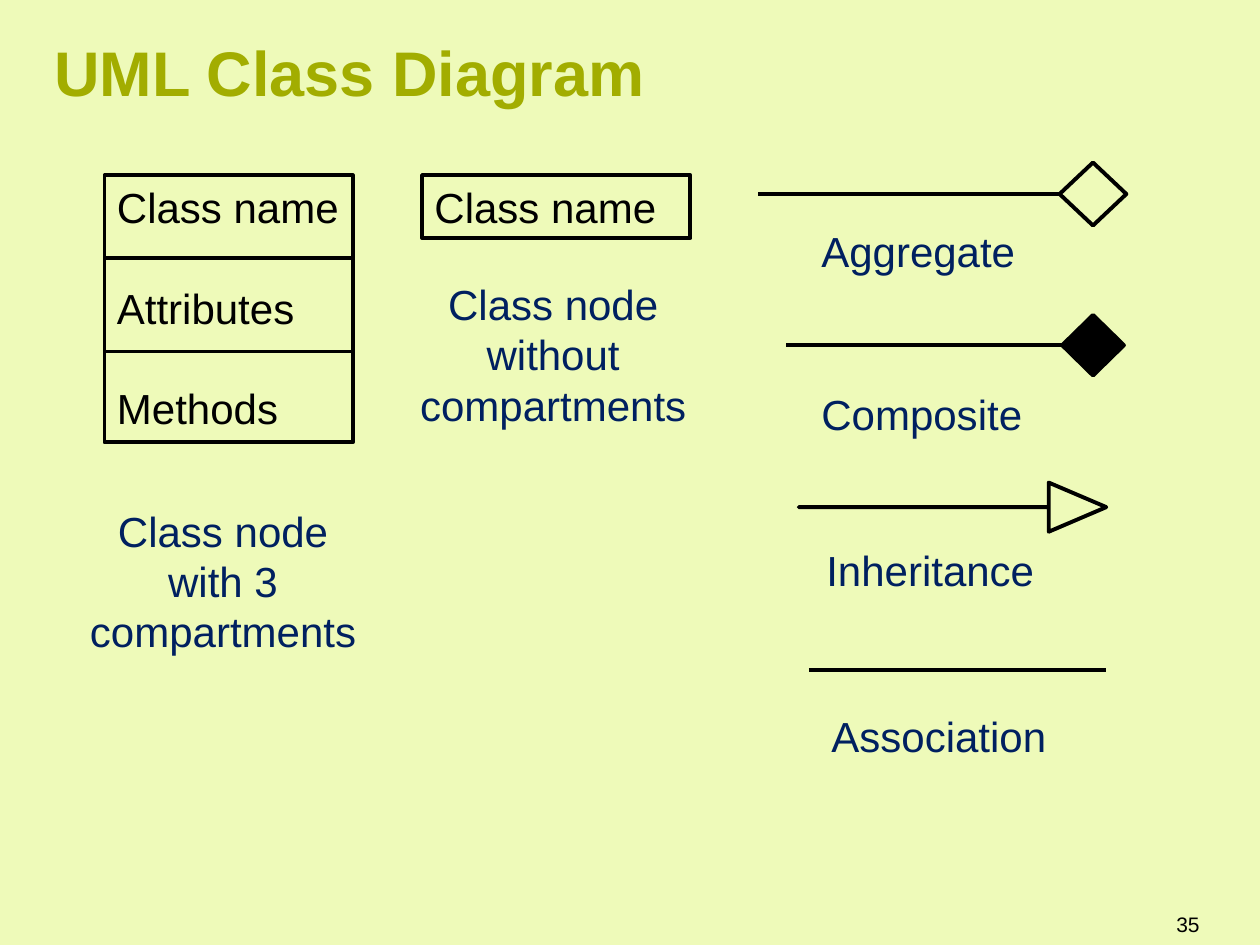
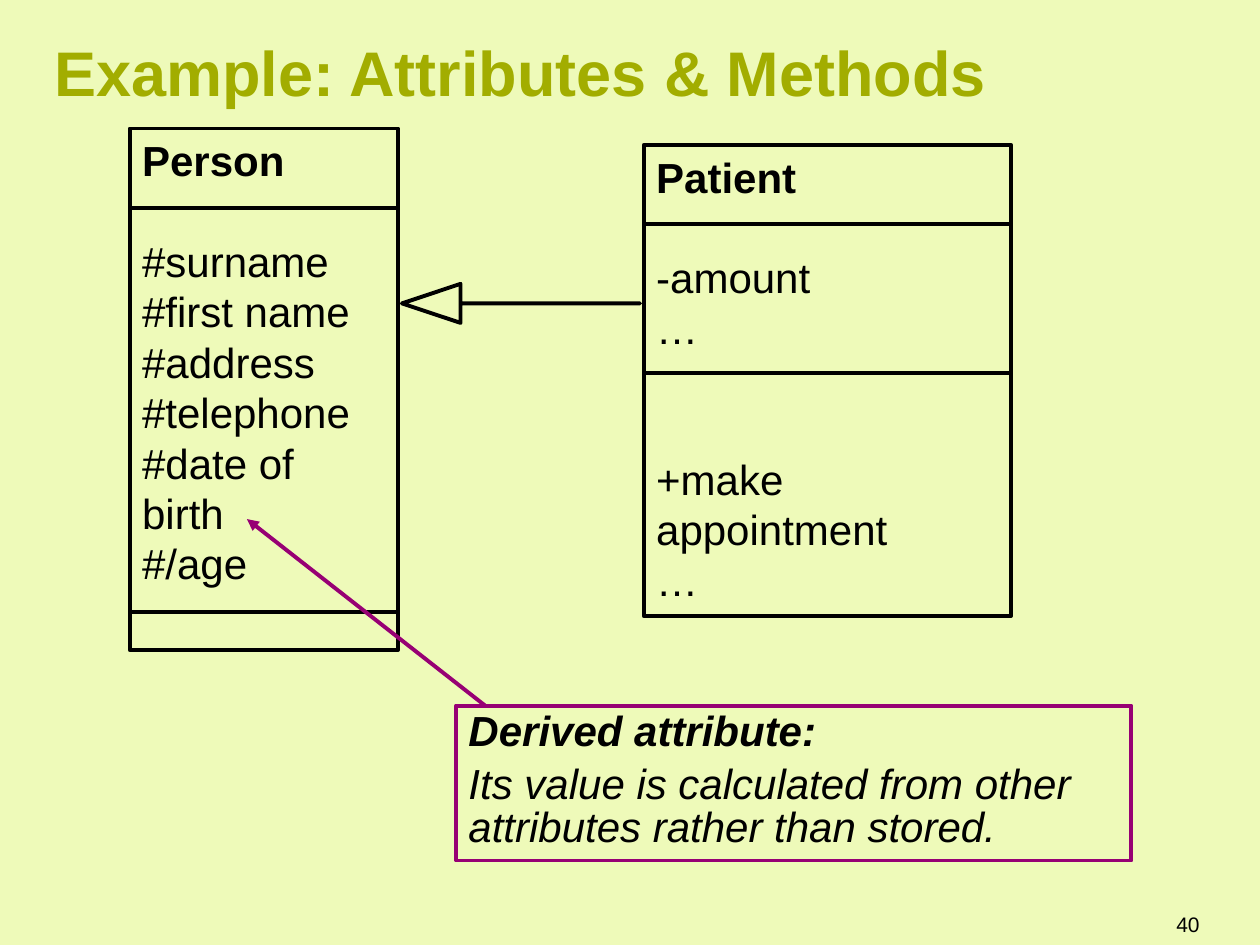
from dataclasses import dataclass

from pptx import Presentation
from pptx.dml.color import RGBColor
from pptx.enum.shapes import MSO_CONNECTOR as Connector, MSO_SHAPE as Preset
from pptx.enum.text import MSO_ANCHOR as Anchor, PP_ALIGN as Align
from pptx.oxml.ns import qn
from pptx.util import Pt
from lxml.etree import SubElement

BACKGROUND = RGBColor(0xEE, 0xFA, 0xB9)
TITLE_GREEN = RGBColor(0xA2, 0xAD, 0x00)
LABEL_BLUE = RGBColor(0x00, 0x20, 0x60)
CALLOUT_PURPLE = RGBColor(0x97, 0x00, 0x74)
BLACK = RGBColor(0x00, 0x00, 0x00)

FONT = "Arial"
BODY_SIZE = 24
BODY_PITCH = 28.8
LINE_WIDTH = 2.25


@dataclass(frozen=True)
class Box:
    left: float
    top: float
    width: float
    height: float

    def lengths(self) -> tuple:
        return Pt(self.left), Pt(self.top), Pt(self.width), Pt(self.height)


@dataclass(frozen=True)
class Entry:
    text: str
    bold: bool = False
    before: float = 0


@dataclass(frozen=True)
class ClassNode:
    box: Box
    entries: tuple[Entry, ...]
    dividers: tuple[float, ...] = ()


@dataclass(frozen=True)
class Label:
    text: str
    box: Box
    align: Align = Align.LEFT


@dataclass(frozen=True)
class DiamondEnd:
    line_start: float
    diamond: Box
    filled: bool


def write(frame, entries, *, size=BODY_SIZE, color=BLACK, bold=False, italic=False,
          align=Align.LEFT, anchor=Anchor.TOP, pitch=None):
    frame.word_wrap = True
    frame.vertical_anchor = anchor
    for index, entry in enumerate(entries):
        paragraph = frame.paragraphs[0] if index == 0 else frame.add_paragraph()
        paragraph.alignment = align
        paragraph.space_before = Pt(entry.before)
        if pitch:
            paragraph.line_spacing = Pt(pitch)
        run = paragraph.add_run()
        run.text = entry.text
        font = run.font
        font.name, font.size = FONT, Pt(size)
        font.bold, font.italic = bold or entry.bold, italic
        font.color.rgb = color


def add_text(slide, box: Box, text: str, **text_format):
    frame = slide.shapes.add_textbox(*box.lengths()).text_frame
    write(frame, [Entry(text)], **text_format)
    return frame


def add_outline(slide, preset: Preset, box: Box, color=BLACK, filled: bool = False):
    shape = slide.shapes.add_shape(preset, *box.lengths())
    shape.shadow.inherit = False
    if filled:
        shape.fill.solid()
        shape.fill.fore_color.rgb = color
    else:
        shape.fill.background()
    shape.line.color.rgb = color
    shape.line.width = Pt(LINE_WIDTH)
    return shape


def add_line(slide, start: tuple[float, float], end: tuple[float, float],
             color=BLACK, arrow: bool = False) -> None:
    line = slide.shapes.add_connector(Connector.STRAIGHT, *map(Pt, start + end))
    line.line.color.rgb = color
    line.line.width = Pt(LINE_WIDTH)
    properties = line._element.spPr
    if arrow:
        SubElement(properties.find(qn("a:ln")), qn("a:tailEnd"), type="triangle")
    SubElement(properties, qn("a:effectLst"))


def add_class_node(slide, node: ClassNode) -> None:
    shape = add_outline(slide, Preset.RECTANGLE, node.box)
    write(shape.text_frame, node.entries, pitch=BODY_PITCH)
    right = node.box.left + node.box.width
    for height in node.dividers:
        add_line(slide, (node.box.left, height), (right, height))


def add_label(slide, label: Label) -> None:
    add_text(slide, label.box, label.text, color=LABEL_BLUE, align=label.align, pitch=BODY_PITCH)


def add_diamond_end(slide, relation: DiamondEnd) -> None:
    diamond = relation.diamond
    middle = diamond.top + diamond.height / 2
    add_outline(slide, Preset.DIAMOND, diamond, filled=relation.filled)
    add_line(slide, (relation.line_start, middle), (diamond.left, middle))


def add_inheritance(slide, box: Box, head_ratio: float, rotation: float = 0) -> None:
    arrow = add_outline(slide, Preset.RIGHT_ARROW, box)
    arrow.adjustments[0] = 0
    arrow.adjustments[1] = head_ratio
    arrow.rotation = rotation


def start_slide(presentation, title: str, number: int):
    slide = presentation.slides.add_slide(presentation.slide_layouts[6])
    frame = add_text(slide, Box(30.96, 15.12, 666, 51.12), title, size=36,
                     color=TITLE_GREEN, bold=True, anchor=Anchor.MIDDLE)
    frame.margin_left = 0
    add_text(slide, Box(581, 513.4, 111.6, 28.8), str(number), size=12,
             align=Align.RIGHT, anchor=Anchor.MIDDLE)
    return slide


def build_notation(presentation) -> None:
    slide = start_slide(presentation, "UML Class Diagram", 35)
    nodes = (
        ClassNode(
            Box(59.76, 100.08, 141.84, 152.64),
            (Entry("Class name"), Entry("Attributes", before=BODY_PITCH),
             Entry("Methods", before=BODY_PITCH)),
            (147.6, 200.88),
        ),
        ClassNode(Box(241.2, 100.08, 153.36, 36), (Entry("Class name"),)),
    )
    labels = (
        Label("Class node without compartments", Box(228.24, 155.52, 175.68, 94.32), Align.CENTER),
        Label("Class node with 3 compartments", Box(42.48, 285.12, 169.92, 94.32), Align.CENTER),
        Label("Aggregate", Box(462.24, 125.28, 147.6, 36)),
        Label("Composite", Box(462.24, 218.5, 147.6, 36)),
        Label("Inheritance", Box(465.12, 307.44, 136.08, 36)),
        Label("Association", Box(468, 402.48, 164.16, 36)),
    )
    diamond_ends = (
        DiamondEnd(433.44, Box(605.52, 92.88, 38.16, 36), filled=False),
        DiamondEnd(449.28, Box(606.96, 180, 35.28, 34.56), filled=True),
    )
    for node in nodes:
        add_class_node(slide, node)
    for label in labels:
        add_label(slide, label)
    for relation in diamond_ends:
        add_diamond_end(slide, relation)
    add_inheritance(slide, Box(456.48, 275.76, 175.68, 28.08), 1.17)
    add_line(slide, (462.24, 383.04), (632.16, 383.04))


def build_example(presentation) -> None:
    slide = start_slide(presentation, "Example: Attributes & Methods", 40)
    nodes = (
        ClassNode(
            Box(74.16, 73.44, 153.36, 298.08),
            (Entry("Person", bold=True), Entry("#surname", before=BODY_PITCH),
             Entry("#first name"), Entry("#address"), Entry("#telephone"),
             Entry("#date of birth"), Entry("#/age")),
            (118.8, 349.92),
        ),
        ClassNode(
            Box(367.92, 82.8, 209.88, 269.28),
            (Entry("Patient", bold=True), Entry("-amount", before=BODY_PITCH), Entry("…"),
             Entry("+make appointment", before=2 * BODY_PITCH), Entry("…")),
            (128.16, 213.12),
        ),
    )
    for node in nodes:
        add_class_node(slide, node)
    add_inheritance(slide, Box(229.68, 162.2, 136.08, 22.32), 1.5, rotation=180)

    callout = add_outline(slide, Preset.RECTANGLE, Box(260.64, 403.2, 385.92, 88.56), CALLOUT_PURPLE)
    write(
        callout.text_frame,
        (Entry("Derived attribute:", bold=True),
         Entry("Its value is calculated from other attributes rather than stored.", before=6)),
        italic=True,
        pitch=0.85 * BODY_PITCH,
    )
    add_line(slide, (277.2, 403.2), (141.12, 296.64), CALLOUT_PURPLE, arrow=True)


def main() -> None:
    presentation = Presentation()
    presentation.slide_width, presentation.slide_height = Pt(720), Pt(540)
    background = presentation.slide_master.background.fill
    background.solid()
    background.fore_color.rgb = BACKGROUND
    build_notation(presentation)
    build_example(presentation)
    presentation.save("out.pptx")


if __name__ == "__main__":
    main()
